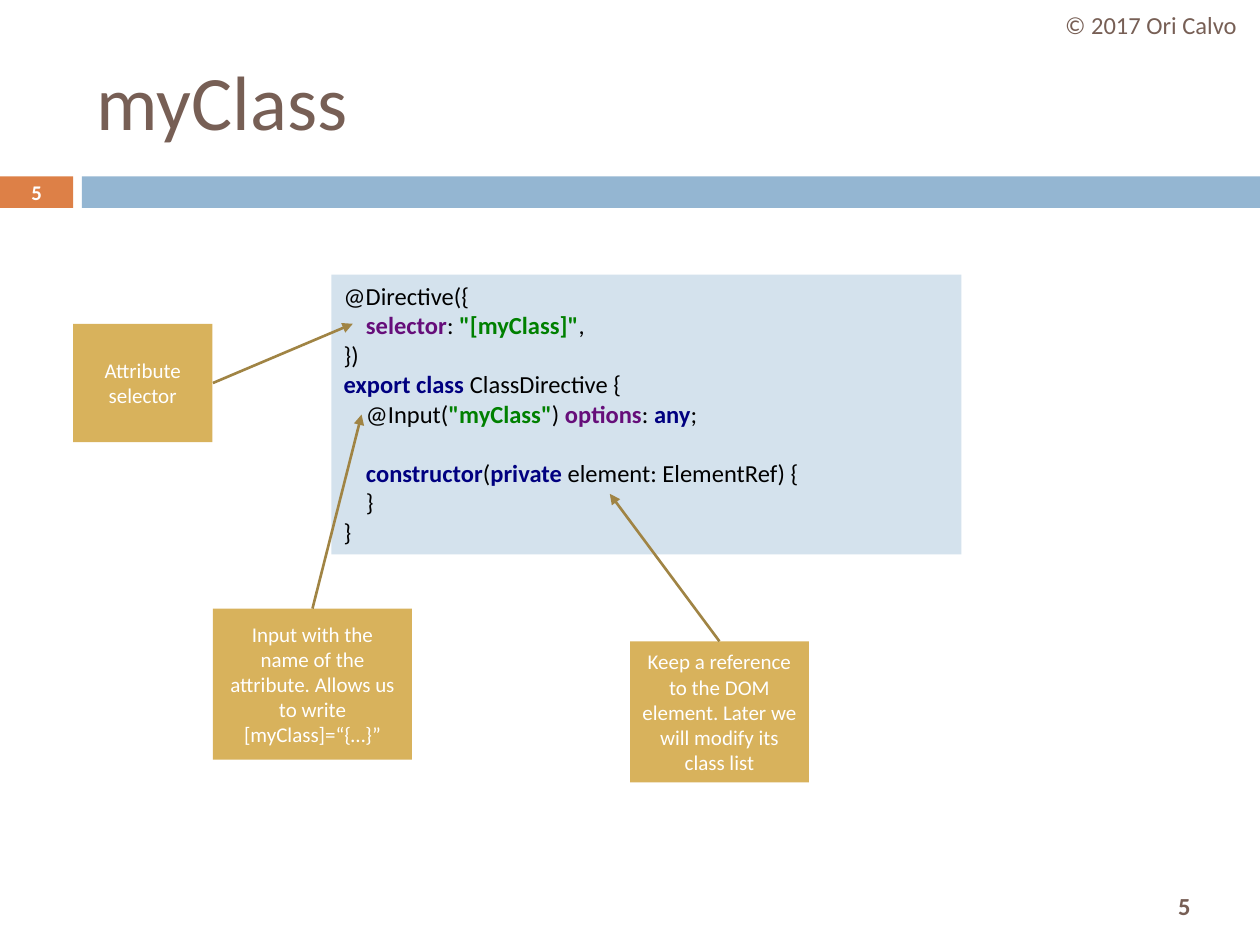
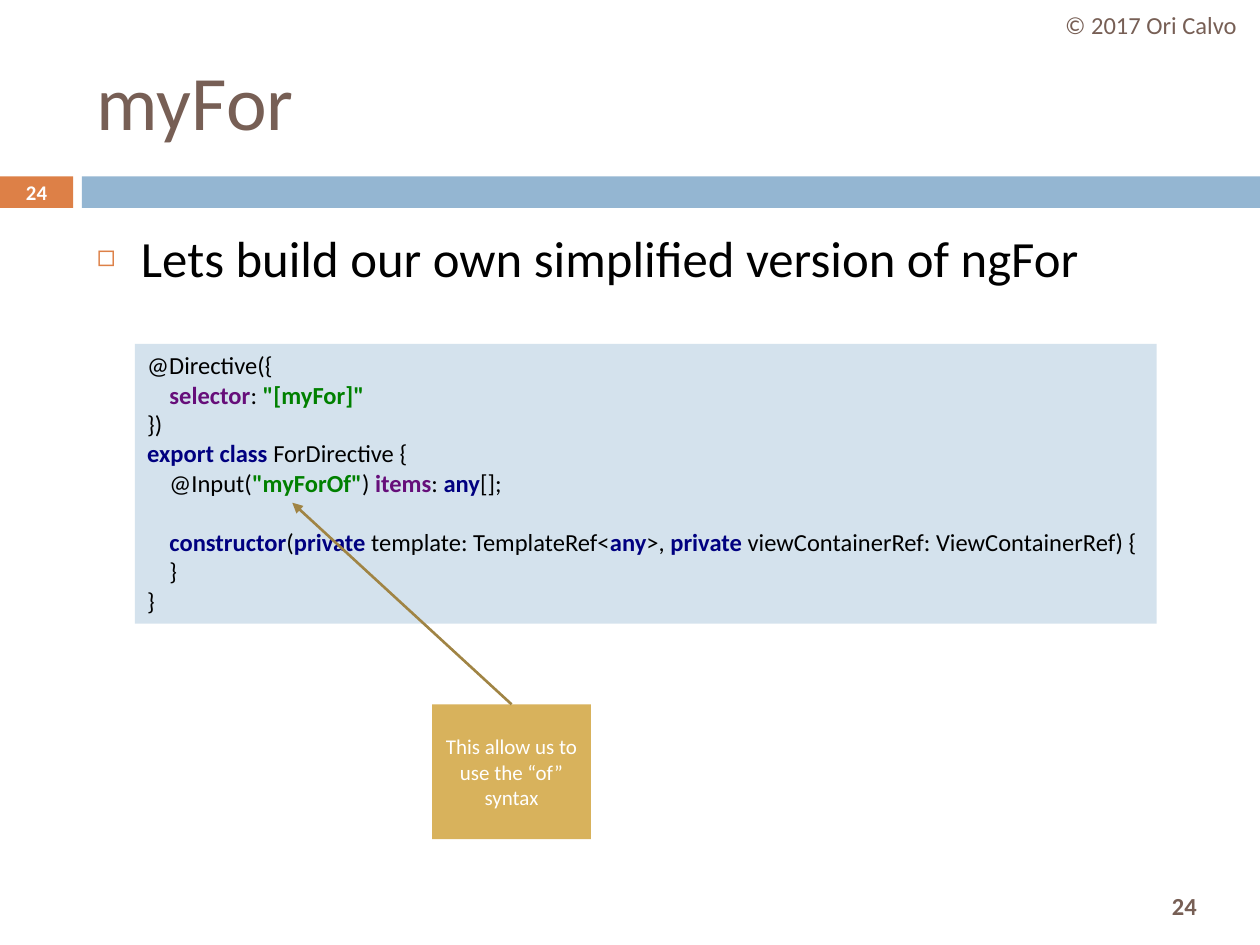
"""Build two slides that explain custom directives with annotated code."""
import pptx
import pptx.util
import pptx.dml.color
import pptx.enum.shapes
import pptx.enum.text
import pptx.oxml
import pptx.oxml.ns

Pt = pptx.util.Pt
RGB = pptx.dml.color.RGBColor
Align = pptx.enum.text.PP_ALIGN
Anchor = pptx.enum.text.MSO_ANCHOR
Fit = pptx.enum.text.MSO_AUTO_SIZE
RECT = pptx.enum.shapes.MSO_SHAPE.RECTANGLE
LINE = pptx.enum.shapes.MSO_CONNECTOR.STRAIGHT

BROWN = RGB(0x77, 0x5F, 0x55)
ORANGE = RGB(0xDD, 0x80, 0x47)
BLUE = RGB(0x94, 0xB6, 0xD2)
PALE = RGB(0xD4, 0xE2, 0xED)
GOLD = RGB(0xD8, 0xB2, 0x5C)
DARK = RGB(0xA0, 0x84, 0x44)
WHITE = RGB(0xFF, 0xFF, 0xFF)
BLACK = RGB(0x00, 0x00, 0x00)
NAVY = RGB(0x00, 0x00, 0x80)
PURPLE = RGB(0x66, 0x0E, 0x7A)
GREEN = RGB(0x00, 0x80, 0x00)

TINTS = {
    NAVY: ["export class ", "any", "constructor", "private "],
    PURPLE: ["selector", "options", "items"],
    GREEN: ['"[myClass]"', '"[myFor]"', '"myForOf"', '"myClass"'],
}
TINT = {word: tint for tint, words in TINTS.items() for word in words}

deck = pptx.Presentation()
deck.slide_width, deck.slide_height = pptx.util.Inches(10), pptx.util.Inches(7.5)
COL, ROW = deck.slide_width / 100, deck.slide_height / 75

LEFT = {"alignment": Align.LEFT}
MID = {"alignment": Align.CENTER}
HEAD = {"size": Pt(44)}
NOTE = {"size": Pt(14)}
PAGE = {"size": Pt(14), "bold": True}
TAB = {"size": Pt(11.9), "bold": True}
BODY = {"size": Pt(29)}
CALL = {"size": Pt(12)}
CENTRE = {"vertical_anchor": Anchor.MIDDLE}
TOP = {"vertical_anchor": Anchor.TOP}
GROW = {"vertical_anchor": Anchor.TOP, "auto_size": Fit.SHAPE_TO_FIT_TEXT}
DEPTH = Pt(12.7)
BLANK = Pt(17)


def apply(item, values):
    for name, value in values.items():
        setattr(item, name, value)


def box(slide, place, fill, lines, font, ink, para, frame):
    x, y, w, h = place
    spot = [int(n) for n in (x * COL, y * ROW, w * COL, h * ROW)]
    if fill is None:
        shape = slide.shapes.add_textbox(*spot)
    else:
        shape = slide.shapes.add_shape(RECT, *spot)
        shape.shadow.inherit = False
        shape.fill.solid()
        shape.fill.fore_color.rgb = fill
        shape.line.fill.background()
    text = shape.text_frame
    apply(text, {"word_wrap": True, **frame})
    for n, line in enumerate(lines):
        row = text.add_paragraph() if n else text.paragraphs[0]
        apply(row, para)
        for part in line.split("|"):
            run = row.add_run()
            run.text = part
            apply(run.font, {"name": "Calibri", "bold": part in TINT, **font})
            run.font.color.rgb = TINT.get(part, ink)
    return shape


PAGES = [
    {
        "title": "myClass", "page": "5", "body": [],
        "place": (26.3, 21.8, 50, 22.2),
        "code": [
            (0, 0, "@Directive({"),
            (1, 0, 'selector|: |"[myClass]"|,'),
            (0, 0, "})"),
            (0, 0, "export class |ClassDirective {"),
            (1, 0, '@Input(|"myClass"|) |options|: |any|;'),
            (1, 1, "constructor|(|private |element: ElementRef) {"),
            (1, 0, "}"),
            (0, 0, "}"),
        ],
        "calls": [
            ((5.8, 25.7, 11.05, 9.4), "Attribute selector",
             (16.9, 30.4), (28, 25.7)),
            ((16.9, 48.3, 15.8, 12),
             "Input with the name of the attribute. Allows us to write "
             "[myClass]=“{…}”",
             (24.8, 48.3), (28.7, 32.9)),
            ((50, 50.9, 14.2, 11.2),
             "Keep a reference to the DOM element. Later we will modify "
             "its class list",
             (57.1, 50.9), (48.4, 39.2)),
        ],
    },
    {
        "title": "myFor", "page": "24",
        "body": ["Lets build our own simplified version of ngFor"],
        "place": (10.7, 27.3, 81.1, 22.2),
        "code": [
            (0, 0, "@Directive({"),
            (1, 0, 'selector|: |"[myFor]"'),
            (0, 0, "})"),
            (0, 0, "export class |ForDirective {"),
            (1, 0, '@Input(|"myForOf"|) |items|: |any|[];'),
            (1, 1, "constructor|(|private |template: TemplateRef<|any|>, |"
                   "private |viewContainerRef: ViewContainerRef) {"),
            (1, 0, "}"),
            (0, 0, "}"),
        ],
        "calls": [
            ((34.3, 55.9, 12.6, 10.7), "This allow us to use the “of” syntax",
             (40.6, 55.9), (23.2, 39.9)),
        ],
    },
]

for page in PAGES:
    slide = deck.slides.add_slide(deck.slide_layouts[6])
    for place, fill, line, font, ink, para in [
        ((0, 14, 5.8, 2.5), ORANGE, [], TAB, WHITE, MID),
        ((6.5, 14, 93.5, 2.5), BLUE, [], TAB, WHITE, MID),
        ((89.4, 69.8, 9.2, 4.2), None, [page["page"]], PAGE, BROWN, MID),
        ((6.7, 2.5, 89.2, 10.8), None, [page["title"]], HEAD, BROWN, LEFT),
        ((82.7, 0, 17.3, 4), None, ["© 2017 Ori Calvo"], NOTE, BROWN, MID),
        ((0, 13.9, 5.8, 2.7), None, [page["page"]], TAB, WHITE, MID),
    ]:
        box(slide, place, fill, line, font, ink, para, CENTRE)

    for line in page["body"]:
        body = box(slide, (6.7, 17.5, 89.2, 49.2), None, [line], BODY, BLACK,
                   {"space_before": Pt(7), **LEFT}, TOP)
        props = body.text_frame.paragraphs[0]._p.get_or_add_pPr()
        apart = int(3.5 * COL)
        props.set("marL", str(apart))
        props.set("indent", str(-apart))
        space = pptx.oxml.ns.nsdecls("a")
        for mark in [
            f'<a:buClr {space}><a:srgbClr val="{ORANGE}"/></a:buClr>',
            f'<a:buSzPct {space} val="60000"/>',
            f'<a:buFont {space} typeface="Calibri"/>',
            f'<a:buChar {space} char="◻"/>',
        ]:
            props.append(pptx.oxml.parse_xml(mark))

    lines = [line for depth, gap, line in page["code"]]
    code = box(slide, page["place"], PALE, lines, NOTE, BLACK, LEFT, GROW)
    for row, (depth, gap, line) in zip(code.text_frame.paragraphs, page["code"]):
        row._p.get_or_add_pPr().set("marL", str(depth * DEPTH))
        row.space_before = gap * BLANK

    for place, line, tail, tip in page["calls"]:
        box(slide, place, GOLD, [line], CALL, WHITE, MID, CENTRE)
        ends = [int(n) for x, y in (tail, tip) for n in (x * COL, y * ROW)]
        arrow = slide.shapes.add_connector(LINE, *ends)
        arrow.line.width = Pt(1.5)
        arrow.line.color.rgb = DARK
        space = pptx.oxml.ns.nsdecls("a")
        arrow.line._get_or_add_ln().append(
            pptx.oxml.parse_xml(f'<a:tailEnd {space} type="triangle"/>'))
        arrow._element.spPr.append(
            pptx.oxml.parse_xml(f"<a:effectLst {space}/>"))

deck.save("out.pptx")
